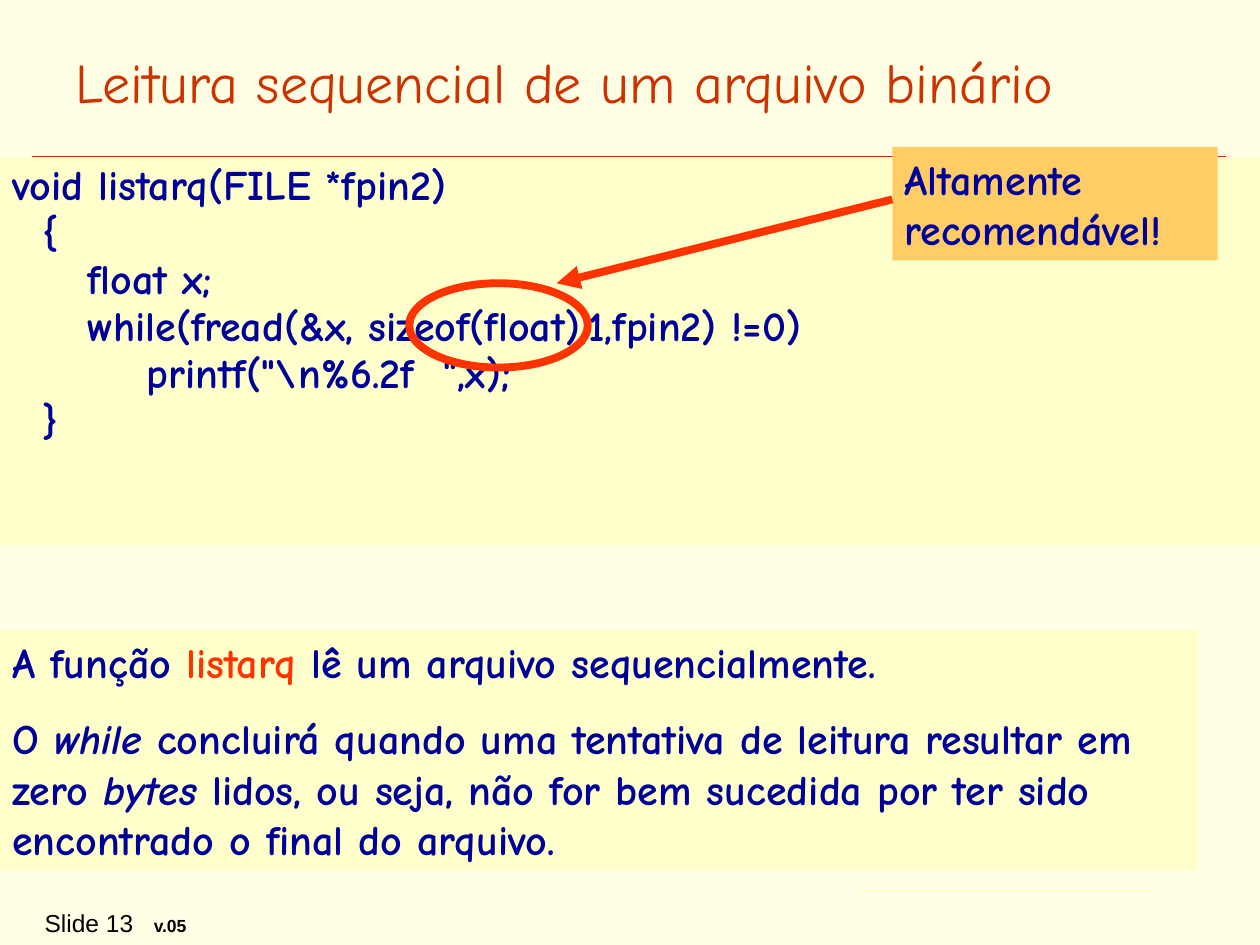
import pptx
import pptx.util
import pptx.dml.color
import pptx.enum.shapes
import pptx.enum.text
import pptx.oxml.ns
from lxml import etree

Cm, Pt = pptx.util.Cm, pptx.util.Pt
RGB = pptx.dml.color.RGBColor
SHAPE = pptx.enum.shapes.MSO_SHAPE
ANCHOR = pptx.enum.text.MSO_ANCHOR
LEFT = pptx.enum.text.PP_ALIGN.LEFT
qn = pptx.oxml.ns.qn

IVORY = RGB(0xFF, 0xFF, 0xE5)
CREAM = RGB(0xFF, 0xFF, 0xCC)
AMBER = RGB(0xFF, 0xCC, 0x66)
RUST = RGB(0xCC, 0x33, 0x00)
RED = RGB(0xFF, 0x33, 0x00)
NAVY = RGB(0x00, 0x00, 0x99)
BLACK = RGB(0x00, 0x00, 0x00)
FONT = "Comic Neue"

# Content: each paragraph is a list of (text, style) runs
TITLE = "Leitura sequencial de um arquivo binário"
CODE = r'''void listarq(FILE *fpin2)
  {
     float x;
     while(fread(&x, sizeof(float),1,fpin2) !=0)
         printf("\n%6.2f  ",x);
  }'''
CODE_PARAGRAPHS = [[(line, "")] for line in CODE.splitlines()]
EXPLANATION = [
    [("A função ", ""), ("listarq", "red"),
     (" lê um arquivo sequencialmente.", "")],
    [("O ", ""), ("while", "italic"),
     (" concluirá quando uma tentativa de leitura resultar em zero ", ""),
     ("bytes", "italic"),
     (" lidos, ou seja, não for bem sucedida por ter sido encontrado "
      "o final do arquivo.", "")],
]
CALLOUT = [[("Altamente recomendável!", "")]]
FOOTER = [("Slide 13\t", 14, False), ("v.05", 10, True)]


def style(font, size, color, name=FONT, bold=False):
    font.name, font.size, font.bold = name, Pt(size), bold
    font.color.rgb = color


def add_box(s, kind, place, fill=None):
    sp = s.shapes.add_shape(kind, *map(Cm, place))
    sp.shadow.inherit = False
    sp.line.fill.background()
    if fill is None:
        sp.fill.background()
    else:
        sp.fill.solid()
        sp.fill.fore_color.rgb = fill
    return sp


def add_panel(s, place, fill, paragraphs, gap=0, spacing=1.0):
    tf = add_box(s, SHAPE.RECTANGLE, place, fill).text_frame
    tf.word_wrap = True
    tf.vertical_anchor = ANCHOR.TOP
    for i, runs in enumerate(paragraphs):
        p = tf.add_paragraph() if i else tf.paragraphs[0]
        p.alignment = LEFT
        p.line_spacing = spacing
        p.space_before = Pt(gap if i else 0)
        for text, look in runs:
            r = p.add_run()
            r.text = text
            style(r.font, 24, RED if look == "red" else NAVY, bold=True)
            r.font.italic = look == "italic"


def add_line(s, start, end, color, width):
    line = s.shapes.add_connector(pptx.enum.shapes.MSO_CONNECTOR.STRAIGHT,
                                  *map(Cm, start + end))
    line.line.color.rgb = color
    line.line.width = Pt(width)
    etree.SubElement(line._element.spPr, qn("a:effectLst"))
    return line


prs = pptx.Presentation()
prs.slide_width, prs.slide_height = Cm(25.4), Cm(19.05)
s = prs.slides.add_slide(prs.slide_layouts[5])
s.background.fill.solid()
s.background.fill.fore_color.rgb = IVORY

# Rules under the title and above the footer
add_line(s, (0.64, 3.17), (24.71, 3.17), RUST, 1)
add_line(s, (17.27, 17.96), (23.22, 17.96), CREAM, 1)

# Footer: the tab stop separates the slide number from the version
tf = add_box(s, SHAPE.ROUNDED_RECTANGLE, (0.69, 18.19, 3.17, 0.84)).text_frame
tf.word_wrap = False
tf.margin_left = Cm(0.17)
tf.vertical_anchor = ANCHOR.MIDDLE
p = tf.paragraphs[0]
p.alignment = LEFT
tabs = etree.SubElement(p._p.get_or_add_pPr(), qn("a:tabLst"))
etree.SubElement(tabs, qn("a:tab"), pos=str(Cm(2.2)), algn="l")
for text, size, bold in FOOTER:
    r = p.add_run()
    r.text = text
    style(r.font, size, BLACK, "Arial", bold)

# Code and explanation
add_panel(s, (0, 3.17, 25.4, 7.82), CREAM, CODE_PARAGRAPHS, spacing=0.93)
add_panel(s, (0, 12.7, 24.13, 4.85), CREAM, EXPLANATION, gap=15)

# Title
title = s.shapes.title
title.left, title.top, title.width, title.height = map(
    Cm, (1.27, 0.84, 22.43, 1.63))
tf = title.text_frame
tf.text = TITLE
tf.word_wrap = True
tf.auto_size = pptx.enum.text.MSO_AUTO_SIZE.NONE
tf.vertical_anchor = ANCHOR.TOP
tf.paragraphs[0].alignment = LEFT
style(tf.paragraphs[0].runs[0].font, 32, RUST)

# Highlight of sizeof, with its callout and arrow
ring = add_box(s, SHAPE.OVAL, (8.25, 5.71, 3.6, 1.7))
ring.line.color.rgb = RED
ring.line.width = Pt(4.5)
add_panel(s, (17.99, 2.96, 6.56, 2.29), AMBER, CALLOUT)
arrow = add_line(s, (17.99, 4.02), (11.22, 5.71), RED, 4.5)
etree.SubElement(arrow.line._get_or_add_ln(), qn("a:tailEnd"), type="triangle")

prs.save("out.pptx")
